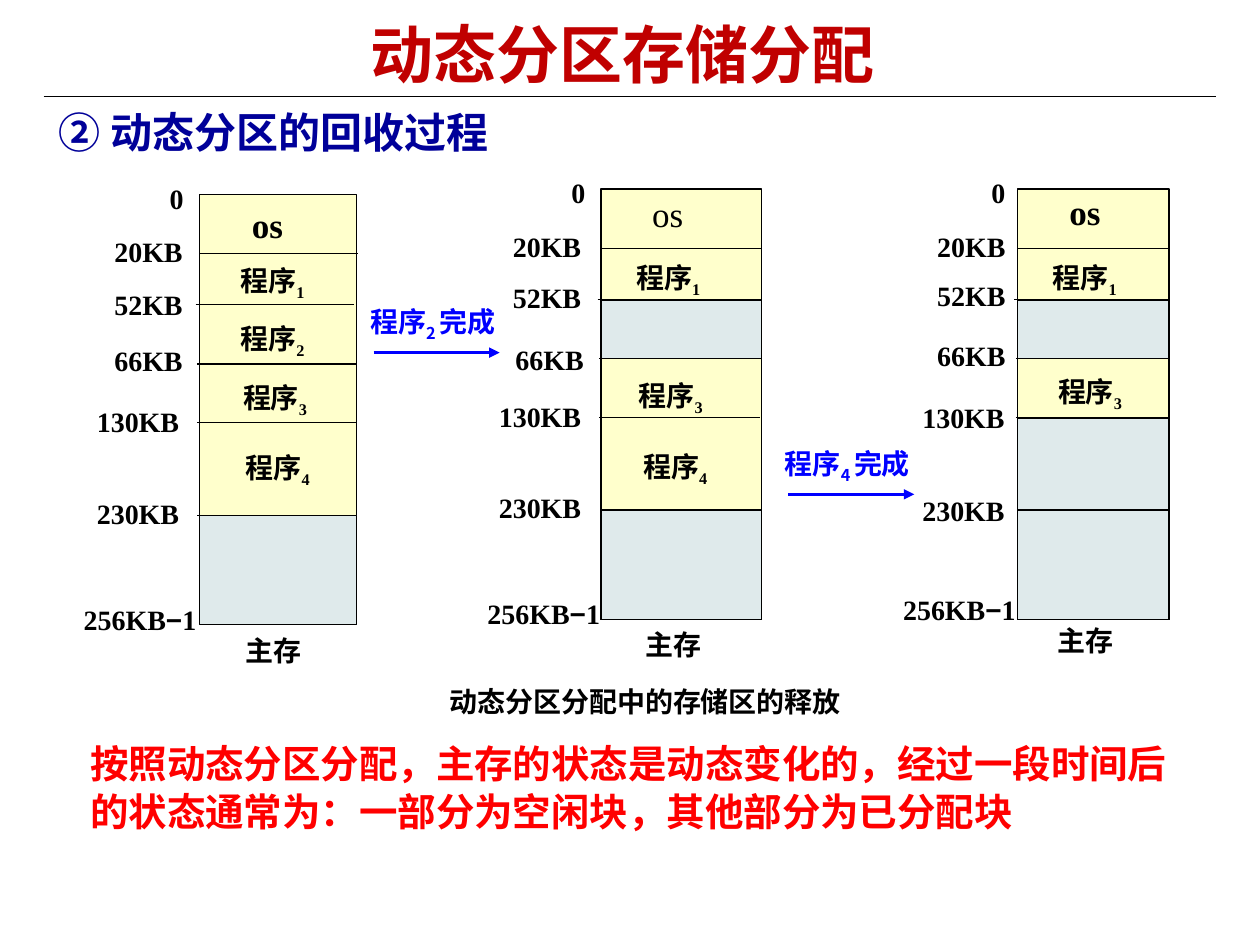
from lxml.etree import SubElement as Sub
from pptx import Presentation
from pptx.dml.color import RGBColor as Rgb
from pptx.enum.shapes import MSO_CONNECTOR as Conn, MSO_SHAPE as Kind
from pptx.enum.text import MSO_ANCHOR as Anchor, MSO_AUTO_SIZE as Auto, PP_ALIGN as Align
from pptx.oxml.ns import qn
from pptx.util import Pt

SANS, SERIF = "Noto Sans CJK SC", "Times New Roman"
BLACK, BLUE, USED, FREE = "000000", "0000FF", "FFFFCC", "DFEAEB"
HEIGHT = 246
CUTS = [34, 63, 97, 130.5, 183.5]  # partition borders below the top
STARTS = [0, -2, -1, -1, -1]       # left end of each border line
MARKS = ["0", "20KB", "52KB", "66KB", "130KB", "230KB", "256KB"]

# One entry per memory state; inner places are relative to its corner
STATES = [
    dict(at=(113.8, 111), wide=90, lines=5, os=(23, 6.5), bold=True,
         free=[(183.5, HEIGHT)], foot=(19.5, 247.5),
         jobs=[("1", 16.5, 38), ("2", 16.5, 71), ("3", 18, 105), ("4", 19.5, 145)],
         marks=[(-24, -11), (-55.5, 19.5), (-55.5, 49.5), (-55.5, 82),
                (-65.5, 116.5), (-65.5, 169), (-73, 229.5)]),
    dict(at=(343.5, 108), wide=91.5, lines=4, os=(22, 3), bold=False,
         free=[(63.5, 97), (183.5, HEIGHT)], foot=(18.5, 247),
         jobs=[("1", 13, 39.5), ("3", 14.5, 106.5), ("4", 17, 147.5)],
         marks=[(-24, -11.5), (-57.5, 19.5), (-57.5, 49), (-56, 84),
                (-65.5, 116.5), (-65.5, 169), (-72, 229.5)]),
    dict(at=(581.5, 108), wide=86.5, lines=4, os=(22.5, 2), bold=True,
         free=[(63.5, 97), (131, 183.5), (183.5, HEIGHT)], foot=(16, 245),
         jobs=[("1", 13, 39.5), ("3", 16, 104.5)],
         marks=[(-22, -11.5), (-53, 19.5), (-53, 47.5), (-53, 82),
                (-61.5, 117.5), (-61.5, 170.5), (-72.5, 227)]),
]


def hue(code):
    return Rgb.from_string(code)


def assign(obj, vals):
    for key, val in vals.items():
        setattr(obj, key, val)


def place(item, x, y, w, h):
    assign(item, dict(left=Pt(x), top=Pt(y), width=Pt(w), height=Pt(h)))


def write(item, runs, size, color=BLACK, face=SERIF, bold=True, anchor=Anchor.TOP, **para):
    """Fill a text shape with runs of (text, format)."""
    frame = item.text_frame
    assign(frame, dict(word_wrap=True, auto_size=Auto.NONE, vertical_anchor=anchor))
    line = frame.paragraphs[0]
    assign(line, dict(space_before=Pt(0), **para))
    for text, form in runs:
        run = line.add_run()
        run.text = text
        assign(run.font, dict(size=Pt(size), bold=bold, name=form.get("face", face)))
        run.font.color.rgb = hue(color)
        props = run.font._element
        Sub(props, qn("a:ea")).set("typeface", SANS)
        if "base" in form:
            props.set("baseline", str(form["base"]))


def label(slide, box, runs, size=16, **form):
    item = slide.shapes.add_textbox(*map(Pt, box))
    write(item, runs, size, **form)


def block(slide, x, y, w, h, color):
    rect = slide.shapes.add_shape(Kind.RECTANGLE, Pt(x), Pt(y), Pt(w), Pt(h))
    rect.shadow.inherit = False
    rect.fill.solid()
    rect.fill.fore_color.rgb = hue(color)
    rect.line.color.rgb = hue(BLACK)
    rect.line.width = Pt(0.75)


def rule(slide, x, y, w, color=BLACK, thick=0.75, head=False):
    link = slide.shapes.add_connector(Conn.STRAIGHT, Pt(x), Pt(y), Pt(x + w), Pt(y))
    link.line.color.rgb = hue(color)
    link.line.width = Pt(thick)
    props = link._element.spPr
    if head:
        Sub(props.find(qn("a:ln")), qn("a:tailEnd")).set("type", "triangle")
    Sub(props, qn("a:effectLst"))


def memory(slide, state):
    """Draw one memory column with its blocks, borders and labels."""
    x, y = state["at"]
    wide = state["wide"]
    block(slide, x, y, wide, HEIGHT, USED)
    for cut, start in list(zip(CUTS, STARTS))[:state["lines"]]:
        rule(slide, x + start, y + cut, wide + 0.5)
    for top, end in state["free"]:
        block(slide, x, y + top, wide, end - top, FREE)
    # Addresses
    for mark, (dx, dy) in zip(MARKS, state["marks"]):
        runs = [(mark, {})]
        if mark == MARKS[-1]:
            runs += [("−", {"face": "Arial"}), ("1", {})]
        span = 30 if mark == "0" else 24 + 14 * len(mark)
        label(slide, (x + dx, y + dy, span, 26), runs, alignment=Align.JUSTIFY)
    # Contents
    tight = dict(alignment=Align.JUSTIFY, line_spacing=0.8)
    dx, dy = state["os"]
    label(slide, (x + dx, y + dy, 49, 26), [("os", {})], 20, bold=state["bold"], **tight)
    for num, dx, dy in state["jobs"]:
        runs = [("程序", {}), (num, {"base": -25000})]
        label(slide, (x + dx, y + dy, 60, 27), runs, **tight)
    dx, dy = state["foot"]
    label(slide, (x + dx, y + dy, 64, 23), [("主存", {})], alignment=Align.JUSTIFY)


def step(slide, num, x, y):
    """Draw a transition arrow with its caption."""
    runs = [("程序", {}), (num + " ", {"base": -25000}), ("完成", {})]
    label(slide, (x, y, 100, 48), runs, color=BLUE, face=SANS)
    rule(slide, x + 9, y + 31, 72, BLUE, 1.5, True)


def main():
    deck = Presentation()
    assign(deck, dict(slide_width=Pt(720), slide_height=Pt(540)))
    slide = deck.slides.add_slide(deck.slide_layouts[1])
    # Title and heading
    title, body = slide.placeholders
    place(title, 23, 0, 666, 54)
    write(title, [("动态分区存储分配", {})], 36, "C00000", SANS,
          anchor=Anchor.MIDDLE, alignment=Align.CENTER, line_spacing=1.15)
    rule(slide, 25, 55, 670)
    place(body, 26.5, 57.5, 472, 36)
    props = body.text_frame.paragraphs[0]._p.get_or_add_pPr()
    for key, val in dict(marL=Pt(27), indent=-Pt(27)).items():
        props.set(key, str(int(val)))
    Sub(props, qn("a:buNone"))
    write(body, [("② 动态分区的回收过程", {})], 24, "000099", SANS, anchor=Anchor.MIDDLE)
    # Memory states and the steps between them
    for state in STATES:
        memory(slide, state)
    step(slide, "2", 204.5, 170.5)
    step(slide, "4", 441.5, 251.5)
    # Caption and conclusion
    label(slide, (250, 387.5, 243, 26.5), [("动态分区分配中的存储区的释放", {})],
          anchor=Anchor.MIDDLE)
    label(slide, (44.5, 419, 641.5, 60.5),
          [("按照动态分区分配，主存的状态是动态变化的，经过一段时间后"
            "的状态通常为：一部分为空闲块，其他部分为已分配块", {})],
          22, color="FF0000", face=SANS, line_spacing=Pt(27))
    deck.save("out.pptx")


if __name__ == "__main__":
    main()
